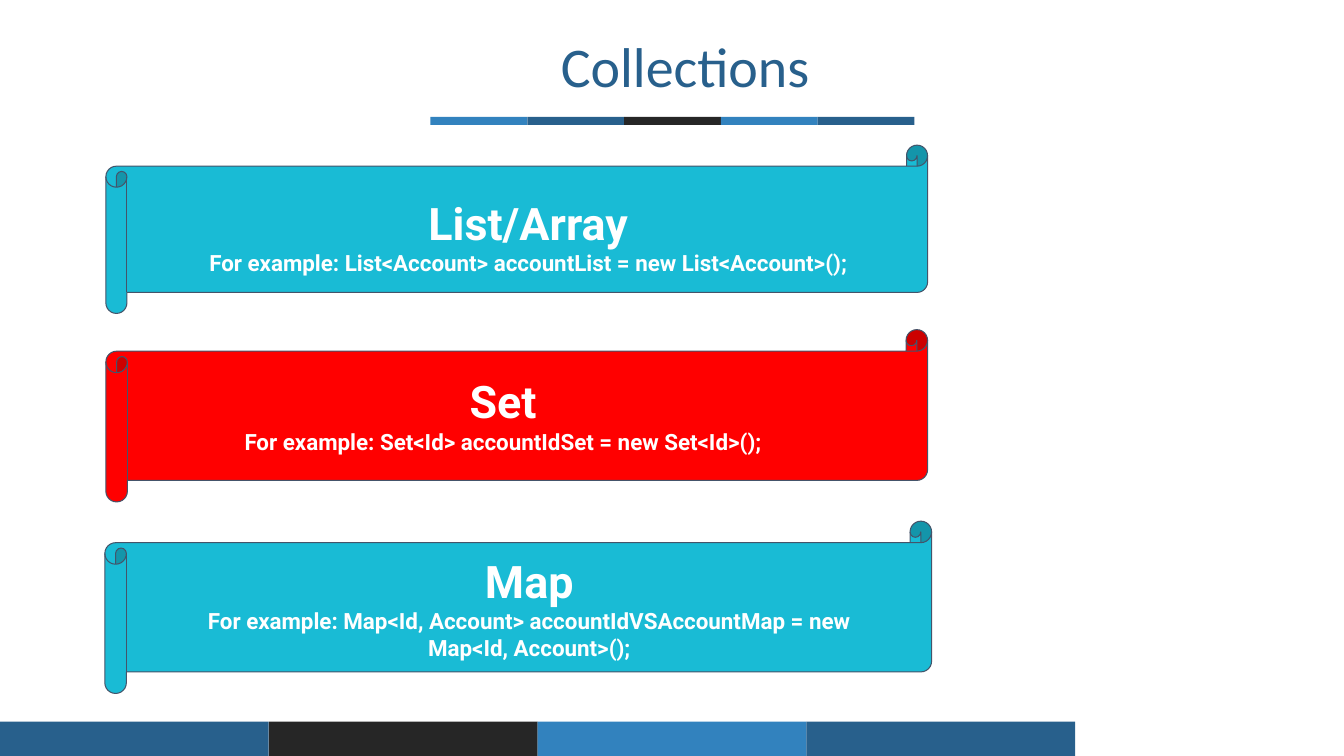
"""Build a slide on the three collection types, each on a coloured scroll."""
from pptx import Presentation
from pptx.dml.color import RGBColor
from pptx.enum.shapes import MSO_SHAPE
from pptx.enum.text import MSO_ANCHOR, PP_ALIGN
from pptx.util import Inches, Pt

RECT, SCROLL = MSO_SHAPE.RECTANGLE, MSO_SHAPE.HORIZONTAL_SCROLL
TOP, BOTTOM = MSO_ANCHOR.TOP, MSO_ANCHOR.BOTTOM
CENTER = PP_ALIGN.CENTER

THEME = {
    "blue": "3282BE", "navy": "28608C", "dark": "262626",
    "cyan": "19BBD5", "red": "FF0000", "outline": "44546A", "white": "FFFFFF",
    "title_font": "Calibri", "body_font": "Roboto",
    "title": 40, "heading": 32, "example": 16,
}
W, H = 13.33, 7.5


def add_block(s, kind, box, color, outlined=False):
    sp = s.shapes.add_shape(kind, *map(Inches, box))
    sp.shadow.inherit = False
    sp.fill.solid()
    sp.fill.fore_color.rgb = RGBColor.from_string(THEME[color])
    if outlined:
        sp.line.color.rgb = RGBColor.from_string(THEME["outline"])
        sp.line.width = Pt(0.75)
    else:
        sp.line.fill.background()


def add_text(s, box, lines, font, color, anchor, inset, bold):
    tf = s.shapes.add_textbox(*map(Inches, box)).text_frame
    tf.word_wrap = True
    tf.vertical_anchor = anchor
    tf.margin_left = tf.margin_right = Inches(inset[0])
    tf.margin_top = tf.margin_bottom = Inches(inset[1])
    for i, (text, size) in enumerate(lines):
        p = tf.add_paragraph() if i else tf.paragraphs[0]
        p.alignment = CENTER
        r = p.add_run()
        r.text = text
        r.font.name = THEME[font]
        r.font.size = Pt(THEME[size])
        r.font.bold = bold
        r.font.color.rgb = RGBColor.from_string(THEME[color])
    return tf


prs = Presentation()
prs.slide_width, prs.slide_height = Inches(W), Inches(H)
s = prs.slides.add_slide(prs.slide_layouts[6])

bands = [
    (4.27, 1.16, 0.96, 0.08, ["blue", "navy", "dark", "blue", "navy"]),
    (0, 7.16, W / 5, H - 7.16, ["navy", "dark", "blue", "navy"]),
]
for left, top, width, height, colors in bands:
    for i, color in enumerate(colors):
        add_block(s, RECT, (left + i * width, top, width, height), color)

collections = [
    ("List/Array", "For example: List<Account> accountList = new List<Account>();",
     "cyan", (1.05, 1.44, 8.15, 1.67), (1.58, 1.99, 7.32, 0.88)),
    ("Set", "For example: Set<Id> accountIdSet = new Set<Id>();",
     "red", (1.05, 3.27, 8.15, 1.71), (1.33, 3.76, 7.32, 0.88)),
    ("Map", "For example: Map<Id, Account> accountIdVSAccountMap = new Map<Id, Account>();",
     "cyan", (1.04, 5.17, 8.2, 1.71), (1.58, 5.93, 7.34, 0.76)),
]
for name, example, color, scroll, box in collections:
    add_block(s, SCROLL, scroll, color, outlined=True)
    add_text(s, box, [(name, "heading"), (example, "example")],
             "body_font", "white", BOTTOM, (0.13, 0.13), True)

tf = add_text(s, (0.41, 0.34, 12.52, 0.69), [("Collections", "title")],
              "title_font", "navy", TOP, (0.1, 0.05), False)
p = tf.paragraphs[0]
p.line_spacing = 0.9
p.space_before = Pt(10)
pPr = p._p.get_or_add_pPr()
pPr.set("marL", str(Inches(0.5)))
pPr.set("indent", str(Inches(-0.25)))

prs.save("out.pptx")
